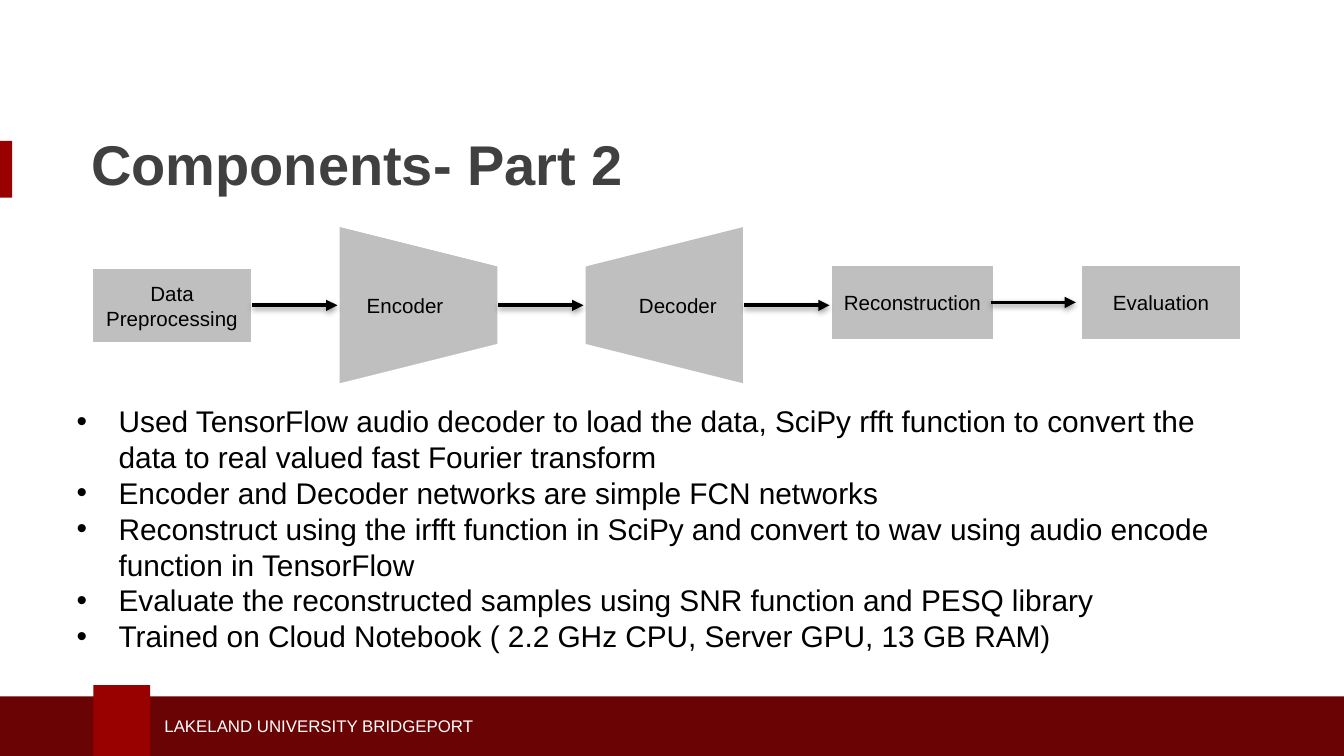
from lxml.etree import SubElement as Sub
from pptx import Presentation
from pptx.dml.color import RGBColor as RGB
from pptx.enum.shapes import MSO_CONNECTOR as CONN, MSO_SHAPE as SHAPE
from pptx.enum.text import MSO_ANCHOR as ANCHOR, PP_ALIGN as ALIGN
from pptx.oxml.ns import qn
from pptx.util import Pt

COLORS = {"crimson": "990000", "maroon": "690304", "title": "404041",
          "box": "BFBFBF", "black": "000000", "white": "FFFFFF"}
W, H = 720, 405

BARS = [("crimson", 0, 75.5, 6.5, 30.5),
        ("maroon", 0, 373, W, 32),
        ("crimson", 50, 367, 30.5, 38)]
TITLE = "Components- Part 2"
FOOTER = "LAKELAND UNIVERSITY BRIDGEPORT"
BULLETS = [
    "Used TensorFlow audio decoder to load the data, SciPy rfft function to convert the data to real valued fast Fourier transform",
    "Encoder and Decoder networks are simple FCN networks",
    "Reconstruct using the irfft function in SciPy and convert to wav using audio encode function in TensorFlow",
    "Evaluate the reconstructed samples using SNR function and PESQ library",
    "Trained on Cloud Notebook ( 2.2 GHz CPU, Server GPU, 13 GB RAM)",
]
STAGES = [
    ("Data Preprocessing", SHAPE.RECTANGLE, 49, 86.4, 41, 163.8, 0, None),
    ("Encoder", SHAPE.TRAPEZOID, 181, 86.4, 86.4, 163.5, 90, "vert270"),
    ("Decoder", SHAPE.TRAPEZOID, 312.8, 86.4, 86.4, 163.5, 270, "vert"),
    ("Reconstruction", SHAPE.RECTANGLE, 444.6, 88.5, 41, 162, 0, None),
    ("Evaluation", SHAPE.RECTANGLE, 578.8, 86.4, 41, 162, 0, None),
]
ARROW_LEN = 45.6
ARROWS = [(135.2, 163.6), (267, 163.6), (398.8, 163.6), (530.8, 162)]


def write(p, text, color, **fmt):
    r = p.add_run()
    r.text = text
    r.font.color.rgb = RGB.from_string(COLORS[color])
    for key, value in {"name": "Arial", **fmt}.items():
        setattr(r.font, key, value)


def add_box(kind, color, x, y, w, h):
    sp = slide.shapes.add_shape(kind, Pt(x), Pt(y), Pt(w), Pt(h))
    sp.shadow.inherit = False
    sp.fill.solid()
    sp.fill.fore_color.rgb = RGB.from_string(COLORS[color])
    sp.line.fill.background()
    return sp


def add_text(x, y, w, h, anchor=ANCHOR.MIDDLE):
    tf = slide.shapes.add_textbox(Pt(x), Pt(y), Pt(w), Pt(h)).text_frame
    tf.word_wrap = True
    tf.vertical_anchor = anchor
    return tf


def add_bullet(p):
    pPr = p._p.get_or_add_pPr()
    pPr.set("marL", str(Pt(22.5)))
    pPr.set("indent", str(-Pt(22.5)))
    Sub(pPr, qn("a:buFont"), typeface="Arial")
    Sub(pPr, qn("a:buChar"), char="•")


def add_stage(label, kind, x, w, h, mid, rotation, vert):
    sp = add_box(kind, "box", x, mid - h / 2, w, h)
    sp.rotation = rotation
    sp.line.color.rgb = RGB.from_string(COLORS["white"])
    sp.line.width = Pt(2)
    tf = sp.text_frame
    tf.word_wrap = True
    tf.vertical_anchor = ANCHOR.MIDDLE
    if vert:
        tf._txBody.bodyPr.set("vert", vert)
    p = tf.paragraphs[0]
    p.alignment = ALIGN.CENTER
    write(p, label, "black", size=Pt(11))


def add_arrow(x, y):
    c = slide.shapes.add_connector(CONN.STRAIGHT, Pt(x), Pt(y), Pt(x + ARROW_LEN), Pt(y))
    c.line.color.rgb = RGB.from_string(COLORS["black"])
    c.line.width = Pt(2)
    Sub(c.line._get_or_add_ln(), qn("a:tailEnd"), type="triangle")
    effects = Sub(c._element.spPr, qn("a:effectLst"))
    shadow = Sub(effects, qn("a:outerShdw"), blurRad=str(Pt(3.1)), dist=str(Pt(1.6)),
                 dir="5400000", rotWithShape="0")
    color = Sub(shadow, qn("a:srgbClr"), val=COLORS["black"])
    Sub(color, qn("a:alpha"), val="38000")


prs = Presentation()
prs.slide_width, prs.slide_height = Pt(W), Pt(H)
slide = prs.slides.add_slide(prs.slide_layouts[6])

for color, *place in BARS:
    add_box(SHAPE.RECTANGLE, color, *place)
write(add_text(81, 380, 284.5, 18).paragraphs[0], FOOTER, "white", size=Pt(9))
write(add_text(41.8, 59.8, 630, 54.7).paragraphs[0], TITLE, "title", size=Pt(30), bold=True)

tf = add_text(34, 212.4, 643.7, 162.7, ANCHOR.TOP)
for i, text in enumerate(BULLETS):
    p = tf.add_paragraph() if i else tf.paragraphs[0]
    add_bullet(p)
    write(p, text, "black", size=Pt(16))

for stage in STAGES:
    add_stage(*stage)
for arrow in ARROWS:
    add_arrow(*arrow)

prs.save("out.pptx")
